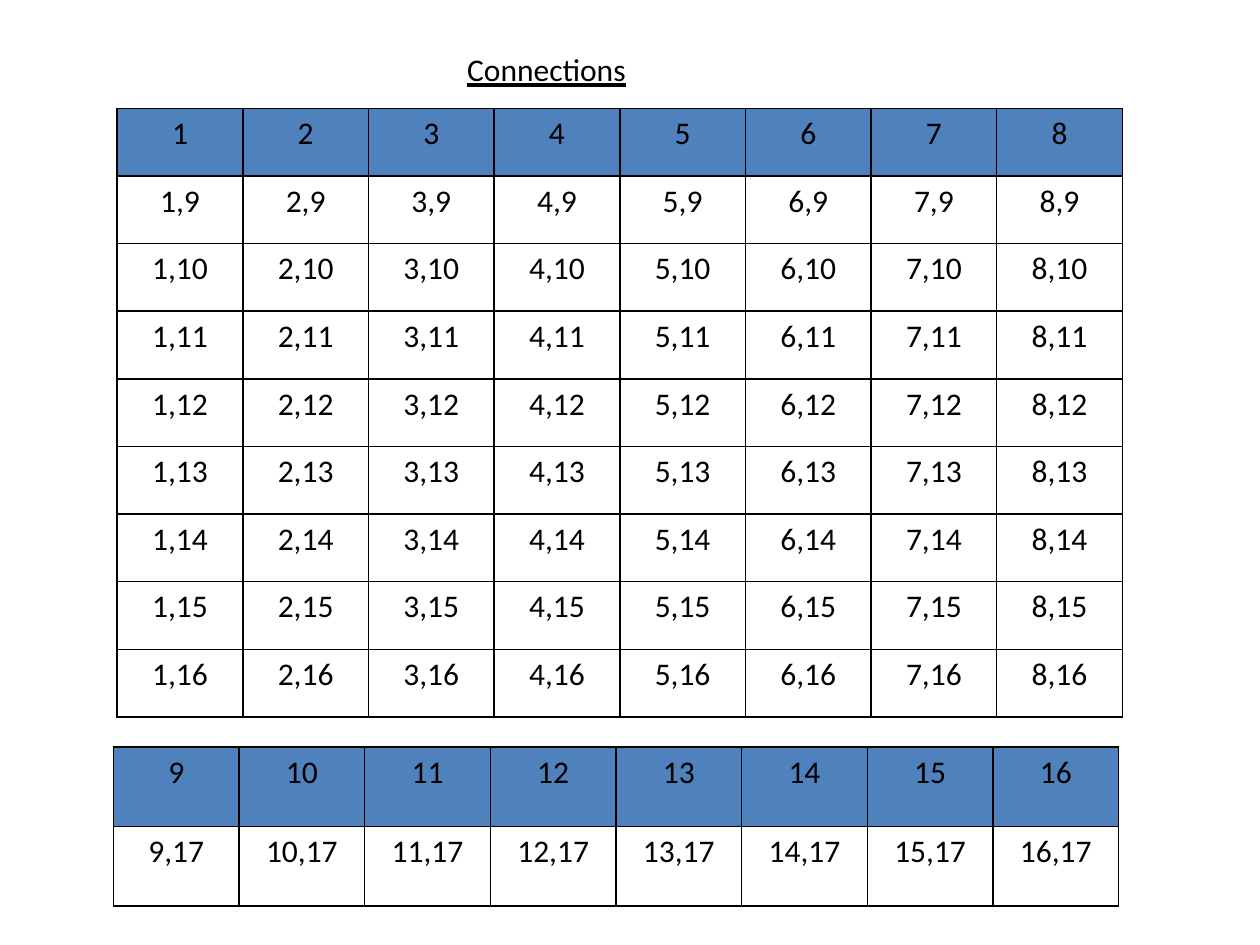
from dataclasses import dataclass

from lxml import etree
from pptx import Presentation
from pptx import util as u
from pptx.dml.color import RGBColor
from pptx.enum import text
from pptx.oxml import ns


@dataclass
class Theme:
    font: str = "Calibri"
    size: int = 18
    ink: str = "000000"
    head: str = "4F81BD"
    rule: float = 1


class Board:
    def __init__(self, slide, theme):
        self.slide = slide
        self.theme = theme

    def style(self, para, line=False):
        for run in para.runs:
            font = run.font
            font.name = self.theme.font
            font.size = u.Pt(self.theme.size)
            font.color.rgb = RGBColor.from_string(self.theme.ink)
            font.bold = False
            font.underline = line

    def title(self, words, left, top, width, height):
        box = self.slide.shapes.add_textbox(*map(u.Inches, (left, top, width, height)))
        frame = box.text_frame
        frame.word_wrap = False
        frame.auto_size = text.MSO_AUTO_SIZE.SHAPE_TO_FIT_TEXT
        frame.text = words
        self.style(frame.paragraphs[0], line=True)

    def border(self, cell):
        props = cell._tc.get_or_add_tcPr()
        for side in ("lnL", "lnR", "lnT", "lnB"):
            edge = etree.SubElement(props, ns.qn(f"a:{side}"), w=str(u.Pt(self.theme.rule)))
            fill = etree.SubElement(edge, ns.qn("a:solidFill"))
            etree.SubElement(fill, ns.qn("a:srgbClr"), val=self.theme.ink)

    def table(self, rows, left, top, width, height):
        place = map(u.Inches, (left, top, width, height))
        grid = self.slide.shapes.add_table(len(rows), len(rows[0]), *place).table
        for r, row in enumerate(rows):
            for c, words in enumerate(row):
                cell = grid.cell(r, c)
                self.border(cell)
                if r == 0:
                    cell.fill.solid()
                    cell.fill.fore_color.rgb = RGBColor.from_string(self.theme.head)
                else:
                    cell.fill.background()
                cell.text_frame.text = words
                para = cell.text_frame.paragraphs[0]
                para.alignment = text.PP_ALIGN.CENTER
                self.style(para)


def pairs(nodes, ends):
    return [[str(n) for n in nodes]] + [[f"{n},{e}" for n in nodes] for e in ends]


def main():
    deck = Presentation()
    deck.slide_width = u.Inches(10)
    deck.slide_height = u.Inches(7.5)
    board = Board(deck.slides.add_slide(deck.slide_layouts[6]), Theme())

    first, second = range(1, 9), range(9, 17)
    board.table(pairs(first, second), 0.93, 0.86, 7.98, 4.83)
    board.title("Connections", 3.61, 0.35, 1.49, 0.4)
    board.table(pairs(second, [17]), 0.9, 5.93, 7.98, 1.26)

    deck.save("out.pptx")


if __name__ == "__main__":
    main()
